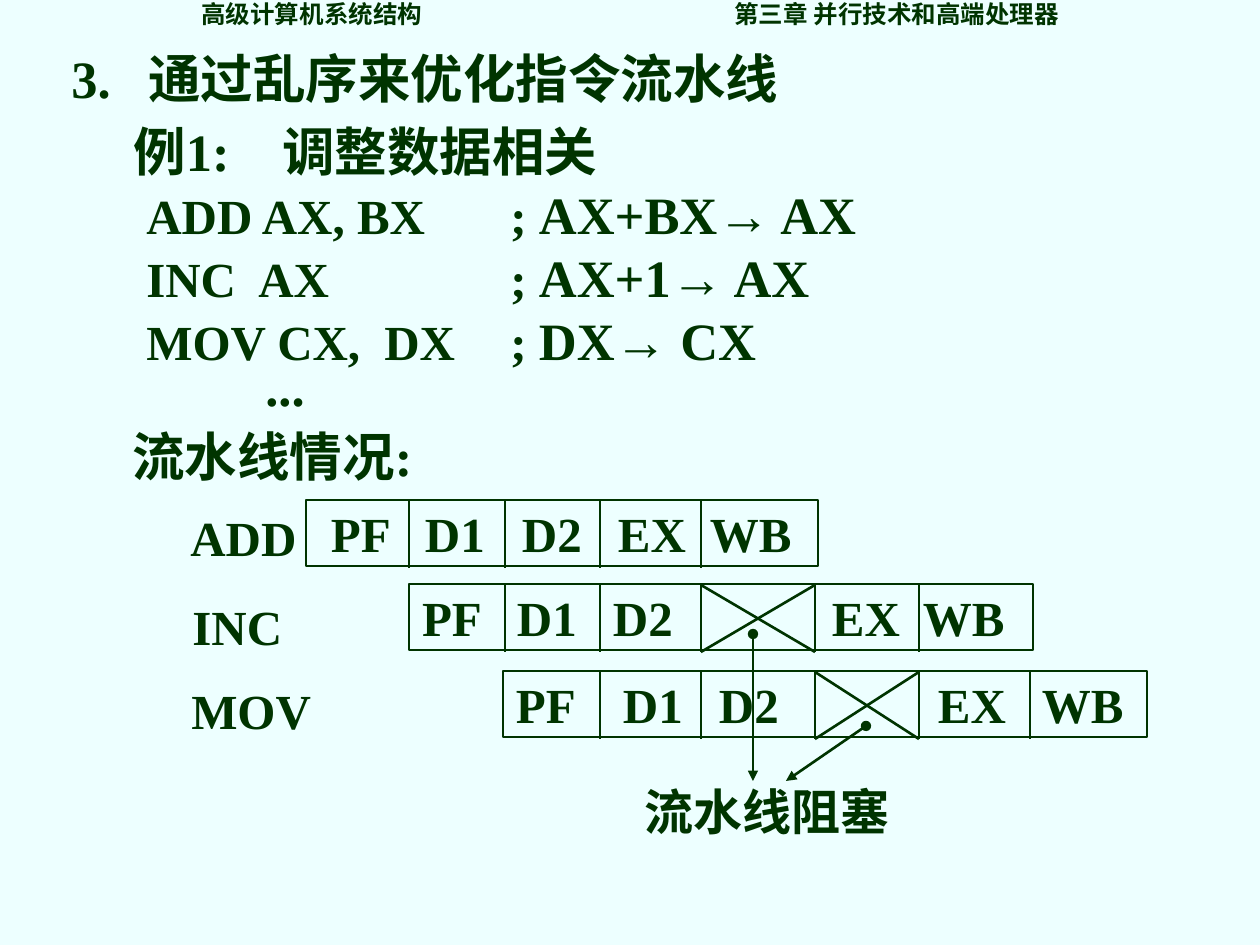
from dataclasses import dataclass

from lxml.etree import SubElement
from pptx import Presentation
from pptx.dml.color import RGBColor
from pptx.enum.shapes import MSO_CONNECTOR as Connector, MSO_SHAPE as Shape
from pptx.enum.text import MSO_ANCHOR as Anchor, PP_ALIGN as Align
from pptx.oxml.ns import qn
from pptx.util import Emu, Pt

PX = 914400 // 126


@dataclass(frozen=True)
class Theme:
    paper: RGBColor = RGBColor(0xED, 0xFF, 0xFF)
    ink: RGBColor = RGBColor(0x00, 0x34, 0x00)
    latin: str = "Times New Roman"
    chinese: str = "Noto Sans CJK SC"
    symbol: str = "Arial"
    heading: int = 30
    code: int = 28
    running_head: int = 14
    line: float = 1.5


theme = Theme()


def write_text(frame, origin, paragraphs):
    """Fill a frame; each paragraph is (runs, tab stops in page px, line spacing)."""
    frame.word_wrap = True
    for index, (runs, stops, spacing) in enumerate(paragraphs):
        para = frame.add_paragraph() if index else frame.paragraphs[0]
        para.alignment = Align.LEFT
        para.line_spacing = spacing
        if stops:
            tabs = SubElement(para._p.get_or_add_pPr(), qn("a:tabLst"))
            for stop in stops:
                SubElement(tabs, qn("a:tab"), pos=str((stop - origin) * PX), algn="l")
        for text, size, face in runs:
            span = para.add_run()
            span.text = text
            span.font.size = Pt(size)
            span.font.bold = True
            span.font.color.rgb = theme.ink
            span.font.name = face
            asian = theme.chinese if face == theme.latin else face
            SubElement(span._r.get_or_add_rPr(), qn("a:ea"), typeface=asian)


def draw_line(x1, y1, x2, y2, arrow=False):
    line = page.shapes.add_connector(
        Connector.STRAIGHT, *(Emu(v * PX) for v in (x1, y1, x2, y2)))
    line.line.color.rgb = theme.ink
    line.line.width = Pt(theme.line)
    if arrow:
        stroke = line.line._get_or_add_ln()
        SubElement(stroke, qn("a:headEnd"), type="oval")
        SubElement(stroke, qn("a:tailEnd"), type="triangle")
    SubElement(line._element.spPr, qn("a:effectLst"))


deck = Presentation()
deck.slide_width, deck.slide_height = Emu(1260 * PX), Emu(945 * PX)
page = deck.slides.add_slide(deck.slide_layouts[6])
page.background.fill.solid()
page.background.fill.fore_color.rgb = theme.paper

# Instructions: text, its tab stops, and the effect shown as a comment
COMMENT_X = 511
program = [
    ("\tADD AX, BX", [147], "AX+BX", "AX"),
    ("\tINC\tAX", [147, 259], "AX+1", "AX"),
    ("\tMOV CX,\tDX", [147, 385], "DX", "CX"),
]
example = [([("例1:\t调整数据相关", theme.heading, theme.latin)], [283], 1.0)]
for instruction, stops, value, target in program:
    example.append(([
        (instruction + "\t; ", theme.code, theme.latin),
        (value, theme.heading, theme.latin),
        ("→", theme.heading, theme.symbol),
        (" " + target, theme.heading, theme.latin),
    ], stops + [COMMENT_X], 1.0))
example.append(([("\t...", theme.heading, theme.latin)], [266], 0.7))

# Text boxes: left, top, width, height, paragraphs
INSET = 13
text_boxes = [
    (189, 1, 890, 34, [([("高级计算机系统结构\t第三章 并行技术和高端处理器",
                          theme.running_head, theme.chinese)], [735], 0.7)]),
    (59, 40, 869, 76, [([("3.\t通过乱序来优化指令流水线",
                          theme.heading, theme.latin)], [149], 1.0)]),
    (121, 113, 1023, 309, example),
    (120, 418, 372, 76, [([("流水线情况:", theme.heading, theme.latin)], [], 1.0)]),
    (178, 501, 150, 72, [([("ADD", theme.code, theme.latin)], [], 1.0)]),
    (180, 590, 150, 72, [([("INC", theme.code, theme.latin)], [], 1.0)]),
    (179, 674, 150, 72, [([("MOV", theme.code, theme.latin)], [], 1.0)]),
    (632, 775, 296, 72, [([("流水线阻塞", theme.code, theme.latin)], [], 1.0)]),
]
for left, top, width, height, paragraphs in text_boxes:
    box = page.shapes.add_textbox(*(Emu(v * PX) for v in (left, top, width, height)))
    write_text(box.text_frame, left + INSET, paragraphs)

# Pipeline rows: left, right, top, x of each stage name, dividers, stall column
ROW_HEIGHT = 66
STAGES = ["PF", "D1", "D2", "EX", "WB"]
cycle_edges = [409, 505, 600, 701, 815, 919, 1030]
rows = [
    (306, 818, 500, [331, 425, 522, 618, 710], cycle_edges[:4], None),
    (409, 1033, 584, [422, 517, 613, 832, 923], cycle_edges[1:6], 3),
    (503, 1147, 671, [516, 623, 719, 938, 1042], cycle_edges[2:], 4),
]
for left, right, top, name_xs, dividers, stall in rows:
    bar = page.shapes.add_shape(
        Shape.RECTANGLE, *(Emu(v * PX) for v in (left, top, right - left, ROW_HEIGHT)))
    bar.shadow.inherit = False
    bar.fill.background()
    bar.line.color.rgb = theme.ink
    bar.line.width = Pt(theme.line)
    frame = bar.text_frame
    frame.vertical_anchor = Anchor.MIDDLE
    frame.margin_left = Emu((name_xs[0] - left) * PX)
    write_text(frame, name_xs[0],
               [([("\t".join(STAGES), theme.code, theme.latin)], name_xs[1:], 1.0)])

    upper, lower = top + 1, top + ROW_HEIGHT + 2
    for x in dividers:
        draw_line(x, upper, x, lower)
    if stall is not None:
        start, end = cycle_edges[stall:stall + 2]
        draw_line(end, upper, start, lower)
        draw_line(start, upper, end, lower)

# Arrows from the stalled cycles to their caption
draw_line(753, 634, 753, 781, arrow=True)
draw_line(866, 726, 786, 781, arrow=True)

deck.save("out.pptx")
